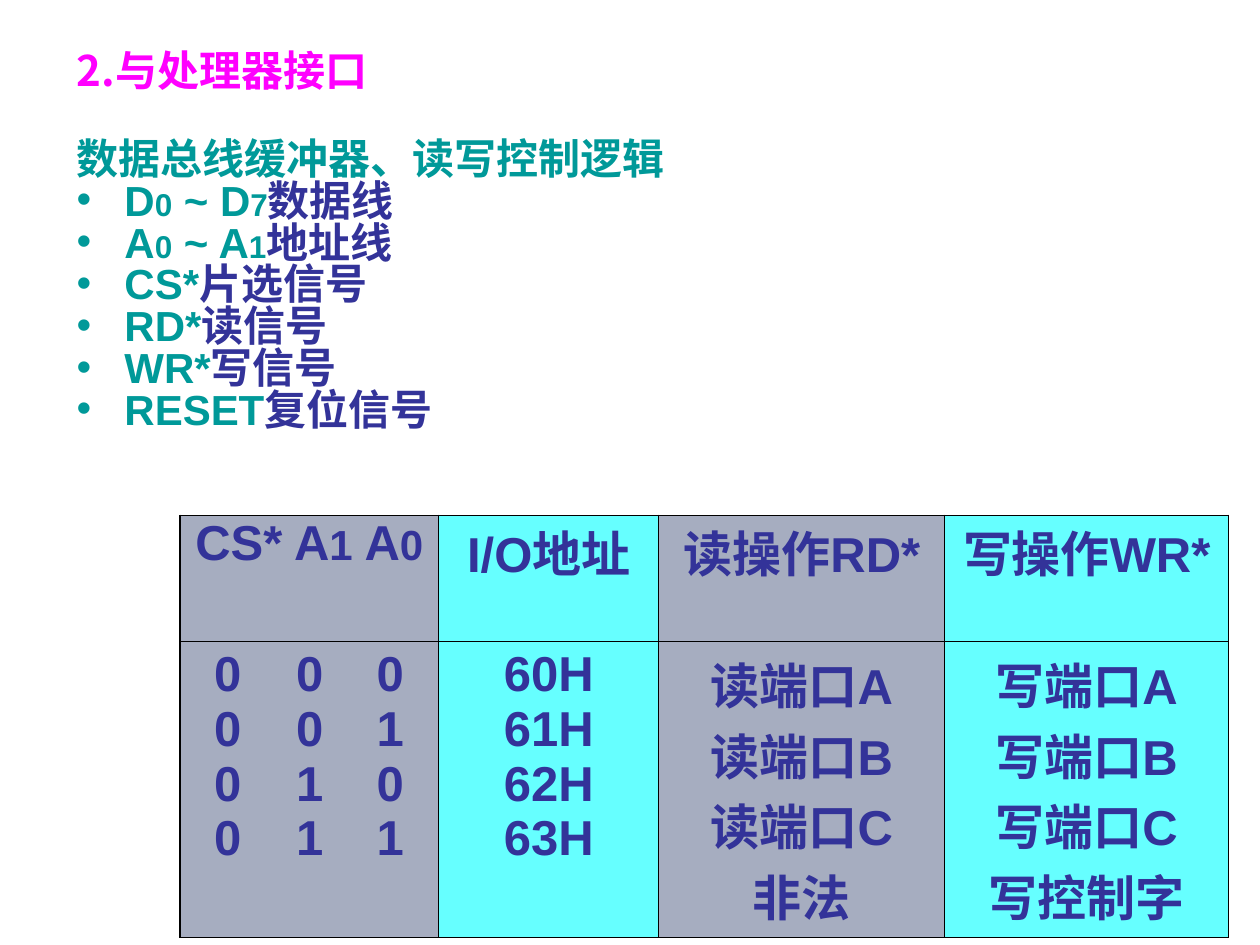
from typing import NamedTuple

from lxml.etree import SubElement
from pptx import Presentation
from pptx.dml.color import RGBColor as RGB
from pptx.enum.text import MSO_ANCHOR as Anchor, PP_ALIGN as Align
from pptx.oxml.ns import qn
from pptx.util import Inches, Pt

COLORS = {"title": "FF00FF", "teal": "009999", "navy": "333399",
          "gray": "A6ADC0", "cyan": "66FFFF", "line": "000000"}
CJK = "Noto Sans CJK SC"


class Signal(NamedTuple):
    name: str  # "|" switches between full and small size
    note: str


class Column(NamedTuple):
    width: float
    fill: str
    head: str
    rows: list[str]


SIGNALS = [
    Signal("D|0| ~ D|7", "数据线"),
    Signal("A|0| ~ A|1", "地址线"),
    Signal("CS*", "片选信号"),
    Signal("RD*", "读信号"),
    Signal("WR*", "写信号"),
    Signal("RESET", "复位信号"),
]
COLUMNS = [
    Column(2.05, "gray", "CS* A|1| A|0",
           ["0\t0\t0", "0\t0\t1", "0\t1\t0", "0\t1\t1"]),
    Column(1.75, "cyan", "I/O地址", ["60H", "61H", "62H", "63H"]),
    Column(2.27, "gray", "读操作RD*", ["读端口A", "读端口B", "读端口C", "非法"]),
    Column(2.25, "cyan", "写操作WR*", ["写端口A", "写端口B", "写端口C", "写控制字"]),
]


def style(font, color: str, size: float, face: str = "Arial") -> None:
    font.name, font.size, font.bold = face, Pt(size), True
    font.color.rgb = RGB.from_string(COLORS[color])


def add_run(para, text: str):
    run = para.add_run()
    run.text = text
    SubElement(run._r.get_or_add_rPr(), qn("a:ea"), typeface=CJK)
    return run


def add_mixed(para, text: str, color: str, big: int, small: int) -> None:
    for i, part in enumerate(text.split("|")):
        style(add_run(para, part).font, color, small if i % 2 else big)


def add_tabs(para, stops: list[float]) -> None:
    tabs = SubElement(para._p.get_or_add_pPr(), qn("a:tabLst"))
    for stop in stops:
        SubElement(tabs, qn("a:tab"), pos=str(Inches(stop)), algn="l")


def hang(para, bullet: bool) -> None:
    props = para._p.get_or_add_pPr()
    props.set("marL", str(Inches(0.38)))
    props.set("indent", str(Inches(-0.38)))
    if bullet:
        color = SubElement(props, qn("a:buClr"))
        SubElement(color, qn("a:srgbClr"), val=COLORS["teal"])
        SubElement(props, qn("a:buFont"), typeface="Arial")
        SubElement(props, qn("a:buChar"), char="•")


def paras(frame, count: int) -> list:
    return [frame.paragraphs[0]] + [frame.add_paragraph() for _ in range(count - 1)]


def paint(cell, fill: str, outer: set[str]) -> None:
    props = cell._tc.get_or_add_tcPr()
    for side in "LRTB":
        width = Pt(1.08 if side in outer else 0.75)
        line = SubElement(props, qn(f"a:ln{side}"), w=str(width))
        solid = SubElement(line, qn("a:solidFill"))
        SubElement(solid, qn("a:srgbClr"), val=COLORS["line"])
    cell.fill.solid()
    cell.fill.fore_color.rgb = RGB.from_string(COLORS[fill])


def add_title(slide) -> None:
    title = slide.shapes.title
    title.left, title.top = Inches(0.51), Inches(0.28)
    title.width, title.height = Inches(9), Inches(0.55)
    title.text_frame.vertical_anchor = Anchor.MIDDLE
    para = title.text_frame.paragraphs[0]
    para.alignment = Align.JUSTIFY
    style(add_run(para, "2.与处理器接口").font, "title", 24, CJK)


def add_list(slide) -> None:
    box = slide.shapes.add_textbox(Inches(0.51), Inches(1.07), Inches(7.6), Inches(2.9))
    frame = box.text_frame
    frame.word_wrap = True
    head, *items = paras(frame, len(SIGNALS) + 1)
    hang(head, False)
    style(add_run(head, "数据总线缓冲器、读写控制逻辑").font, "teal", 24)
    for para, signal in zip(items, SIGNALS):
        hang(para, True)
        add_mixed(para, signal.name, "teal", 24, 18)
        style(add_run(para, signal.note).font, "navy", 24, "Times New Roman")
    for para in frame.paragraphs:
        para.alignment, para.line_spacing = Align.JUSTIFY, 0.83


def add_ports(slide) -> None:
    table = slide.shapes.add_table(2, len(COLUMNS), Inches(1.43), Inches(4.09),
                                   Inches(8.32), Inches(3.35)).table
    table.rows[0].height, table.rows[1].height = Inches(1), Inches(2.35)
    for i, col in enumerate(COLUMNS):
        table.columns[i].width = Inches(col.width)
        head, body = table.cell(0, i), table.cell(1, i)
        edge = {"L"} if i == 0 else {"R"} if i == len(COLUMNS) - 1 else set()
        paint(head, col.fill, edge | {"T"})
        paint(body, col.fill, edge | {"B"})

        para = head.text_frame.paragraphs[0]
        para.alignment, para.line_spacing = Align.CENTER, 0.9
        add_mixed(para, col.head, "navy", 28, 24)

        for para, text in zip(paras(body.text_frame, len(col.rows)), col.rows):
            para.alignment = Align.CENTER
            if "\t" in text:  # bit columns start at tab stops
                para.alignment = Align.LEFT
                body.margin_left = Inches(0.27)
                add_tabs(para, [0.65, 1.29])
            style(add_run(para, text).font, "navy", 28)


def main() -> None:
    deck = Presentation()
    deck.slide_width, deck.slide_height = Inches(10), Inches(7.5)
    slide = deck.slides.add_slide(deck.slide_layouts[5])
    add_title(slide)
    add_ports(slide)
    add_list(slide)
    deck.save("out.pptx")


if __name__ == "__main__":
    main()
